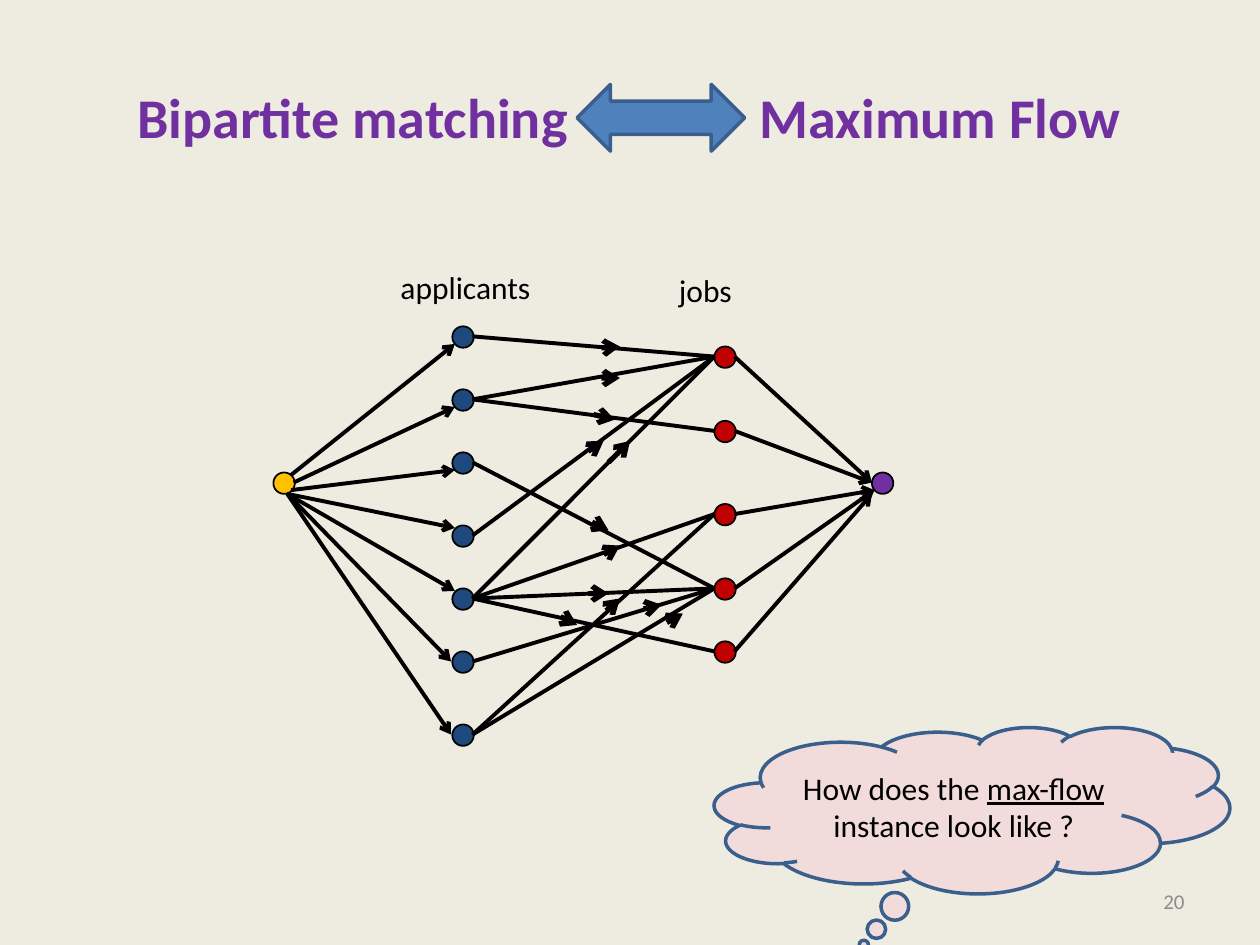
from typing import NamedTuple

from lxml.etree import SubElement
from pptx import Presentation
from pptx.dml.color import RGBColor
from pptx.enum.shapes import MSO_CONNECTOR, MSO_SHAPE
from pptx.enum.text import MSO_ANCHOR, PP_ALIGN
from pptx.oxml.ns import qn
from pptx.shapes.autoshape import Shape
from pptx.slide import Slide
from pptx.util import Emu, Pt

EMU_PER_PX = 9144
FONT = "Calibri"
BLACK, PURPLE, OUTLINE = "000000", "7030A0", "3A5F8C"
NODE_SIZE = 17
NODE_RADIUS = 8


class Box(NamedTuple):
    left: int
    top: int
    width: int
    height: int


class Point(NamedTuple):
    x: int
    y: int


class Segment(NamedTuple):
    start: Point
    end: Point


class Column(NamedTuple):
    label: str
    label_box: Box
    x: int
    ys: tuple[int, ...]
    color: str


APPLICANTS = Column("applicants", Box(308, 208, 124, 40), 367,
                    (267, 317, 367, 425, 475, 525, 583), "1F497D")
JOBS = Column("jobs", Box(529, 210, 62, 40), 575,
              (283, 342, 408, 467, 517), "C00000")
SOURCE, SINK = Point(225, 383), Point(700, 383)

MATCHES = [(1, 1), (6, 2), (4, 3), (0, 0), (3, 0), (5, 3),
           (6, 3), (1, 0), (4, 0), (4, 2), (2, 3), (4, 4)]

DIRECTION_MARKS = [
    Segment(Point(475, 417), Point(483, 421)),
    Segment(Point(483, 367), Point(500, 350)),
    Segment(Point(483, 483), Point(492, 475)),
    Segment(Point(512, 483), Point(525, 480)),
    Segment(Point(483, 438), Point(492, 433)),
    Segment(Point(479, 276), Point(492, 275)),
    Segment(Point(479, 300), Point(492, 300)),
    Segment(Point(471, 329), Point(488, 333)),
    Segment(Point(467, 358), Point(479, 350)),
    Segment(Point(467, 471), Point(483, 471)),
    Segment(Point(533, 492), Point(542, 487)),
    Segment(Point(450, 492), Point(458, 496)),
]

SOURCE_BOTTOM = Point(228, 392)
SOURCE_ARROWS = [
    Segment(Point(231, 377), Point(361, 273)),
    Segment(Point(233, 383), Point(361, 323)),
    Segment(Point(231, 389), Point(361, 373)),
    Segment(SOURCE_BOTTOM, Point(361, 419)),
    Segment(SOURCE_BOTTOM, Point(361, 469)),
    Segment(SOURCE_BOTTOM, Point(358, 525)),
    Segment(SOURCE_BOTTOM, Point(358, 583)),
]
SINK_ENDS = [Point(692, 383), Point(692, 383), Point(694, 389),
             Point(694, 389), Point(692, 392)]


def px(length: int) -> Emu:
    """Turn px into EMU."""
    return Emu(length * EMU_PER_PX)


def rgb(value: str) -> RGBColor:
    """Turn a hex string into a colour."""
    return RGBColor.from_string(value)


def set_font(paragraph, size: int, color: str, bold: bool = False) -> None:
    """Format a whole paragraph."""
    font = paragraph.font
    font.name, font.size, font.bold = FONT, Pt(size), bold
    font.color.rgb = rgb(color)


def add_shape(slide: Slide, kind: MSO_SHAPE, box: Box, fill: str,
              line: str, line_width: int) -> Shape:
    """Add a flat filled shape."""
    shape = slide.shapes.add_shape(kind, *map(px, box))
    shape.shadow.inherit = False
    shape.fill.solid()
    shape.fill.fore_color.rgb = rgb(fill)
    shape.line.color.rgb = rgb(line)
    shape.line.width = Pt(line_width)
    return shape


def add_node(slide: Slide, center: Point, color: str) -> None:
    """Add a graph node around its centre."""
    box = Box(center.x - NODE_RADIUS, center.y - NODE_RADIUS, NODE_SIZE, NODE_SIZE)
    add_shape(slide, MSO_SHAPE.OVAL, box, color, BLACK, 1)


def add_line(slide: Slide, segment: Segment, width: float = 2.25,
             arrow: bool = True) -> None:
    """Add a black line, with an open arrowhead at its end if asked."""
    connector = slide.shapes.add_connector(
        MSO_CONNECTOR.STRAIGHT, *map(px, segment.start + segment.end))
    connector.line.color.rgb = rgb(BLACK)
    connector.line.width = Pt(width)
    properties = connector._element.spPr
    if arrow:
        SubElement(properties.find(qn("a:ln")), qn("a:tailEnd"), type="arrow")
    SubElement(properties, qn("a:effectLst"))


def add_text(slide: Slide, box: Box, text: str, size: int, color: str,
             alignment: PP_ALIGN = PP_ALIGN.LEFT, wrap: bool = False,
             anchor: MSO_ANCHOR = MSO_ANCHOR.TOP) -> None:
    """Add a one-paragraph text box."""
    frame = slide.shapes.add_textbox(*map(px, box)).text_frame
    frame.word_wrap, frame.vertical_anchor = wrap, anchor
    paragraph = frame.paragraphs[0]
    paragraph.text, paragraph.alignment = text, alignment
    set_font(paragraph, size, color)


def add_column(slide: Slide, column: Column) -> None:
    """Add a labelled column of nodes."""
    for y in column.ys:
        add_node(slide, Point(column.x, y), column.color)
    add_text(slide, column.label_box, column.label, 18, BLACK)


def fill_title(slide: Slide) -> None:
    """Write the two title halves, parted by a tab stop."""
    title = slide.shapes.title
    title.left, title.top, title.width, title.height = map(px, Box(50, 30, 900, 125))
    frame = title.text_frame
    frame.margin_left = px(59)
    frame.vertical_anchor = MSO_ANCHOR.MIDDLE
    paragraph = frame.paragraphs[0]
    paragraph.text = "Bipartite matching\tMaximum Flow"
    paragraph.alignment = PP_ALIGN.LEFT
    tabs = SubElement(paragraph._p.get_or_add_pPr(), qn("a:tabLst"))
    SubElement(tabs, qn("a:tab"), pos=str(px(494)), algn="l")
    set_font(paragraph, 32, PURPLE, bold=True)


def add_network(slide: Slide) -> None:
    """Add the flow network from source to sink."""
    add_column(slide, JOBS)
    add_column(slide, APPLICANTS)
    for applicant, job in MATCHES:
        add_line(slide, Segment(
            Point(APPLICANTS.x + NODE_RADIUS, APPLICANTS.ys[applicant]),
            Point(JOBS.x - NODE_RADIUS, JOBS.ys[job])), arrow=False)
    for mark in DIRECTION_MARKS:
        add_line(slide, mark, width=3)
    add_node(slide, SINK, PURPLE)
    add_node(slide, SOURCE, "FFC000")
    for segment in SOURCE_ARROWS:
        add_line(slide, segment)
    for y, end in zip(JOBS.ys, SINK_ENDS):
        add_line(slide, Segment(Point(JOBS.x + NODE_RADIUS, y), end))


def add_question(slide: Slide) -> None:
    """Add the thought cloud."""
    cloud = add_shape(slide, MSO_SHAPE.CLOUD_CALLOUT, Box(567, 577, 409, 132),
                      "F2DCDB", OUTLINE, 2)
    cloud.adjustments[0], cloud.adjustments[1] = -0.21, 0.81
    cloud.text_frame.vertical_anchor = MSO_ANCHOR.MIDDLE
    paragraph = cloud.text_frame.paragraphs[0]
    paragraph.alignment = PP_ALIGN.CENTER
    for text in ("How does the ", "max-flow", " instance look like ?"):
        run = paragraph.add_run()
        run.text = text
        run.font.color.rgb = rgb(BLACK)
        run.font.underline = text == "max-flow"
    set_font(paragraph, 18, BLACK)


def main() -> None:
    """Build and save the slide."""
    presentation = Presentation()
    presentation.slide_width, presentation.slide_height = px(1000), px(750)
    slide = presentation.slides.add_slide(presentation.slide_layouts[5])
    slide.background.fill.solid()
    slide.background.fill.fore_color.rgb = rgb("EEECE1")
    fill_title(slide)
    add_text(slide, Box(717, 695, 233, 40), "20", 12, "8C8C8C",
             PP_ALIGN.RIGHT, True, MSO_ANCHOR.MIDDLE)
    add_network(slide)
    add_shape(slide, MSO_SHAPE.LEFT_RIGHT_ARROW, Box(458, 67, 133, 53),
              "4F81BD", OUTLINE, 2)
    add_question(slide)
    presentation.save("out.pptx")


if __name__ == "__main__":
    main()
